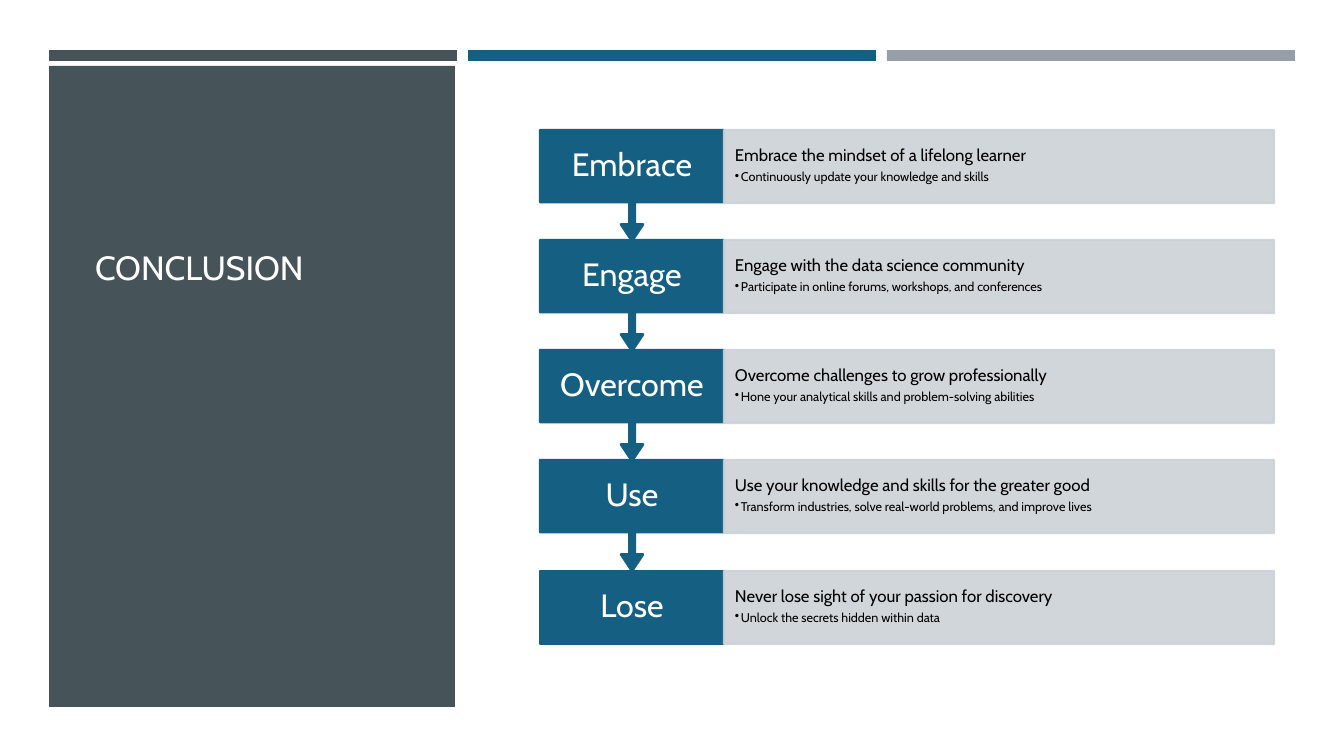
from lxml import etree
from pptx import Presentation
from pptx.dml.color import RGBColor
from pptx.enum.shapes import MSO_SHAPE
from pptx.enum.text import MSO_ANCHOR, PP_ALIGN
from pptx.oxml.ns import qn
from pptx.util import Pt

RECT = MSO_SHAPE.RECTANGLE
ARROW = MSO_SHAPE.UP_ARROW_CALLOUT
TOP, MIDDLE, BOTTOM = MSO_ANCHOR.TOP, MSO_ANCHOR.MIDDLE, MSO_ANCHOR.BOTTOM
LEFT, CENTER = PP_ALIGN.LEFT, PP_ALIGN.CENTER
PX = 914400 / 100.8
FONT = "Cabin"
COLORS = {
    "slate": "465359",
    "blue": "156082",
    "gray": "969FA7",
    "pale": "CCD2D8",
    "white": "FFFFFF",
    "black": "000000",
}
STEPS = [
    ("Embrace", "Embrace the mindset of a lifelong learner",
     "Continuously update your knowledge and skills"),
    ("Engage", "Engage with the data science community",
     "Participate in online forums, workshops, and conferences"),
    ("Overcome", "Overcome challenges to grow professionally",
     "Hone your analytical skills and problem-solving abilities"),
    ("Use", "Use your knowledge and skills for the greater good",
     "Transform industries, solve real-world problems, and improve lives"),
    ("Lose", "Never lose sight of your passion for discovery",
     "Unlock the secrets hidden within data"),
]

deck = Presentation()
deck.slide_width, deck.slide_height = round(1344 * PX), round(756 * PX)
slide = deck.slides.add_slide(deck.slide_layouts[6])


def add_block(kind, box, color, edge=False, alpha=None):
    shape = slide.shapes.add_shape(kind, *[round(n * PX) for n in box])
    shape.shadow.inherit = False
    paints = [shape.fill, shape.line.fill] if edge else [shape.fill]
    for paint in paints:
        paint.solid()
        paint.fore_color.rgb = RGBColor.from_string(COLORS[color])
    if edge:
        shape.line.width = Pt(1.75)
    else:
        shape.line.fill.background()
    if alpha:
        for tint in shape._element.spPr.iter(qn("a:srgbClr")):
            etree.SubElement(tint, qn("a:alpha"), val=str(alpha * 1000))
    return shape


def add_text(box, lines, color, anchor, align, inset, space=1.0):
    area = slide.shapes.add_textbox(*[round(n * PX) for n in box])
    frame = area.text_frame
    frame.word_wrap = True
    frame.vertical_anchor = anchor
    frame.margin_left = frame.margin_right = round(inset[0] * PX)
    frame.margin_top = frame.margin_bottom = round(inset[1] * PX)
    for i, (text, size) in enumerate(lines):
        para = frame.paragraphs[0] if i == 0 else frame.add_paragraph()
        para.text = text
        para.alignment = align
        para.line_spacing = space
        para.font.name = FONT
        para.font.size = Pt(size)
        para.font.color.rgb = RGBColor.from_string(COLORS[color])
    return frame


for i, color in enumerate(["slate", "blue", "gray"]):
    add_block(RECT, (49 + 419 * i, 50, 408, 11), color)
add_block(RECT, (49, 66, 406, 641), "slate")
add_text((85, 103, 335, 189), [("CONCLUSION", 24)], "white", BOTTOM, LEFT, (10, 5))

for i, (word, head, note) in reversed(list(enumerate(STEPS))):
    top = 130 + 441 * i // 4
    label = (540, top, 184, 73)
    panel = (724, top, 550, 73)
    if i == len(STEPS) - 1:
        add_block(RECT, label, "blue", True)
    else:
        arrow = add_block(ARROW, (540, top, 184, 111), "blue", True)
        arrow.rotation = 180
        for n, part in enumerate([0.05, 0.1, 0.15, 0.65]):
            arrow.adjustments[n] = part
    add_text(label, [(word, 23)], "white", MIDDLE, CENTER, (13, 18), 0.9)
    add_block(RECT, panel, "pale", True, 90)
    frame = add_text(panel, [(head, 12), (note, 9)], "black", TOP, LEFT, (11, 17), 0.9)
    first, last = frame.paragraphs
    first.space_after = Pt(4.2)
    props = last._p.get_or_add_pPr()
    props.set("marL", str(round(6 * PX)))
    props.set("indent", str(round(-6 * PX)))
    bullet = etree.Element(qn("a:buChar"), char="•")
    props.find(qn("a:lnSpc")).addnext(bullet)

deck.save("out.pptx")
